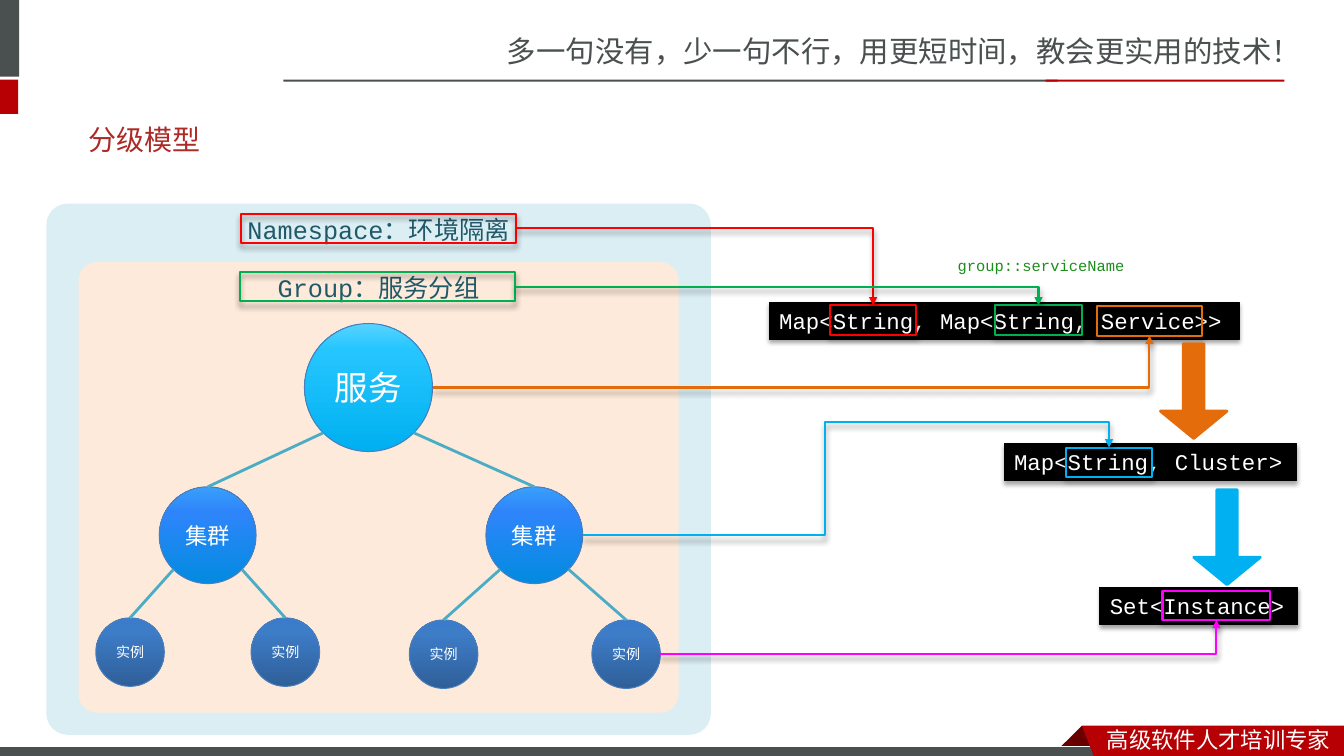
from dataclasses import dataclass
from math import sqrt

from lxml import etree
from pptx import Presentation
from pptx.dml.color import RGBColor
from pptx.enum.shapes import MSO_CONNECTOR, MSO_SHAPE
from pptx.enum.text import MSO_ANCHOR, PP_ALIGN
from pptx.oxml import parse_xml
from pptx.oxml.ns import nsdecls, qn
from pptx.util import Inches, Pt

RECTANGLE, ROUNDED = MSO_SHAPE.RECTANGLE, MSO_SHAPE.ROUNDED_RECTANGLE
OVAL, DOWN_ARROW = MSO_SHAPE.OVAL, MSO_SHAPE.DOWN_ARROW
STRAIGHT, ELBOW = MSO_CONNECTOR.STRAIGHT, MSO_CONNECTOR.ELBOW
TOP, MIDDLE = MSO_ANCHOR.TOP, MSO_ANCHOR.MIDDLE
LEFT, CENTER = PP_ALIGN.LEFT, PP_ALIGN.CENTER

WHITE, BLACK = RGBColor(0xFF, 0xFF, 0xFF), RGBColor(0, 0, 0)
GREY, DARK_RED = RGBColor(0x49, 0x50, 0x4F), RGBColor(0xB6, 0, 0x04)
FOLD_RED, TITLE_RED = RGBColor(0x68, 0, 0), RGBColor(0xAD, 0x2A, 0x26)
PALE_BLUE, PALE_ORANGE = RGBColor(0xDB, 0xEE, 0xF4), RGBColor(0xFD, 0xEA, 0xDA)
TEAL, BRANCH = RGBColor(0x21, 0x59, 0x68), RGBColor(0x4B, 0xAC, 0xC6)
RIM, NOTE_GREEN = RGBColor(0x4B, 0x7E, 0xBC), RGBColor(0x1C, 0x8E, 0x1C)
RED, GREEN = RGBColor(0xFF, 0, 0), RGBColor(0, 0xB0, 0x50)
ORANGE, SKY = RGBColor(0xE4, 0x6C, 0x0A), RGBColor(0, 0xB0, 0xF0)
MAGENTA = RGBColor(0xFF, 0, 0xFF)

CHINESE, LABEL, CODE = "Noto Sans CJK SC", "Noto Sans CJK JP", "Courier New"
DEEP_SHADOW, SOFT_SHADOW = (40, 4, 3), (35, 3.1, 1.8)


@dataclass(frozen=True)
class Box:
    left: float
    top: float
    width: float
    height: float

    @property
    def center(self):
        return self.left + self.width / 2

    @property
    def middle(self):
        return self.top + self.height / 2

    @property
    def right(self):
        return self.left + self.width

    @property
    def bottom(self):
        return self.top + self.height

    def lengths(self):
        return [Inches(v) for v in (self.left, self.top, self.width, self.height)]


@dataclass(frozen=True)
class Level:
    text: str
    diameter: float
    size: int
    stops: tuple


@dataclass(frozen=True)
class Link:
    source: Box
    target: Box
    color: RGBColor
    from_below: bool = False
    bends: tuple = ()


SERVICE = Level("服务", 1.27, 24, ((0, "00B0F0"), (80, "25C6FF"), (100, "57D3FF")))
CLUSTER = Level("集群", 0.96, 16, ((0, "028BE0"), (74, "2E85FA"), (99, "389EFA")))
INSTANCE = Level("实例", 0.68, 10, ((0, "2F5F99"), (80, "3D7CC7"), (100, "3A7CCB")))

presentation = Presentation()
presentation.slide_width, presentation.slide_height = Inches(13.33), Inches(7.5)
slide = presentation.slides.add_slide(presentation.slide_layouts[6])
shapes = slide.shapes


def write(shape, text: str, size: float, font: str, color: RGBColor,
          align=LEFT, anchor=TOP, wrap: bool = True) -> None:
    frame = shape.text_frame
    paragraph = frame.paragraphs[0]
    run = paragraph.add_run()
    formats = {frame: {"word_wrap": wrap, "vertical_anchor": anchor},
               paragraph: {"alignment": align},
               run: {"text": text},
               run.font: {"size": Pt(size), "name": font}}
    for item, values in formats.items():
        for name, value in values.items():
            setattr(item, name, value)
    run.font.color.rgb = color
    east_asian = etree.SubElement(run.font._element, qn("a:ea"))
    east_asian.set("typeface", font if font in (CHINESE, LABEL) else CHINESE)


def text_box(box: Box, *args, **options) -> None:
    write(shapes.add_textbox(*box.lengths()), *args, **options)


def paint(shape, fill: RGBColor | None, line: RGBColor | None, width: float) -> None:
    shape.shadow.inherit = False
    if fill is None:
        shape.fill.background()
    else:
        shape.fill.solid()
        shape.fill.fore_color.rgb = fill
    if line is None:
        shape.line.fill.background()
    else:
        shape.line.color.rgb = line
        shape.line.width = Pt(width)


def draw(kind, box: Box, fill=None, line=None, width: float = 0.75, adjust=()):
    shape = shapes.add_shape(kind, *box.lengths())
    paint(shape, fill, line, width)
    for index, value in enumerate(adjust):
        shape.adjustments[index] = value
    return shape


def polygon(points: list, fill: RGBColor) -> None:
    corners = [(Inches(x), Inches(y)) for x, y in points]
    builder = shapes.build_freeform(*corners[0])
    builder.add_line_segments(corners[1:], close=True)
    paint(builder.convert_to_shape(), fill, None, 0)


def effects(shape, shadow: tuple | None = None) -> None:
    properties = shape._element.spPr
    for old in properties.findall(qn("a:effectLst")):
        properties.remove(old)
    listing = etree.SubElement(properties, qn("a:effectLst"))
    if shadow:
        alpha, blur, distance = shadow
        listing.append(parse_xml(
            f'<a:outerShdw {nsdecls("a")} blurRad="{Pt(blur)}" dist="{Pt(distance)}" '
            f'dir="5400000" rotWithShape="0"><a:srgbClr val="000000">'
            f'<a:alpha val="{alpha * 1000}"/></a:srgbClr></a:outerShdw>'))


def connect(kind, start: tuple, end: tuple, color: RGBColor, width: float):
    connector = shapes.add_connector(kind, *[Inches(v) for v in start + end])
    connector.line.color.rgb = color
    connector.line.width = Pt(width)
    return connector


def node(level: Level, left: float, top: float):
    box = Box(left, top, level.diameter, level.diameter)
    shape = draw(OVAL, box, WHITE, RIM)
    stops = "".join(f'<a:gs pos="{position * 1000}"><a:srgbClr val="{color}"/></a:gs>'
                    for position, color in level.stops)
    properties = shape._element.spPr
    properties.replace(properties.find(qn("a:solidFill")), parse_xml(
        f'<a:gradFill {nsdecls("a")} rotWithShape="1"><a:gsLst>{stops}</a:gsLst>'
        '<a:lin ang="16200000" scaled="0"/></a:gradFill>'))
    write(shape, level.text, level.size, LABEL, WHITE, CENTER, MIDDLE, wrap=False)
    return box, shape


def branch(parent: Box, child) -> None:
    child_box, child_shape = child
    reach = parent.width / 2 / sqrt(2)
    side = 1 if child_box.center > parent.center else -1
    start = (parent.center + side * reach, parent.middle + reach)
    connector = connect(STRAIGHT, start, (child_box.center, child_box.top), BRANCH, 2)
    connector.end_connect(child_shape, 0)
    effects(connector)


def elbow(link: Link) -> None:
    end = (link.target.center, link.target.bottom if link.from_below else link.target.top)
    connector = connect(ELBOW, (link.source.right, link.source.middle), end, link.color, 1.5)
    geometry = connector._element.spPr.find(qn("a:prstGeom"))
    geometry.set("prst", "bentConnector4" if link.bends else "bentConnector2")
    guides = geometry.find(qn("a:avLst"))
    for index, value in enumerate(link.bends, 1):
        guide = etree.SubElement(guides, qn("a:gd"))
        guide.set("name", f"adj{index}")
        guide.set("fmla", f"val {round(value * 100000)}")
    etree.SubElement(connector.line._get_or_add_ln(), qn("a:tailEnd")).set("type", "triangle")
    effects(connector, DEEP_SHADOW)


text_box(Box(4.93, 0.28, 8.41, 0.47), "多一句没有，少一句不行，用更短时间，教会更实用的技术！",
         21, CHINESE, GREY)
for bar, color in ((Box(-0.06, 0, 0.25, 0.76), GREY), (Box(-0.06, 0.79, 0.24, 0.34), DARK_RED),
                   (Box(2.81, 0.79, 7.68, 0.02), GREY), (Box(10.37, 0.79, 2.37, 0.02), DARK_RED)):
    draw(RECTANGLE, bar, color)
polygon([(10.73, 7.2), (10.95, 7.42), (10.94, 7.43), (10.52, 7.43), (10.51, 7.42)], FOLD_RED)
draw(RECTANGLE, Box(-0.01, 7.41, 11, 0.12), GREY, WHITE)
polygon([(10.73, 7.2), (13.33, 7.2), (13.33, 7.54), (10.86, 7.53)], DARK_RED)
text_box(Box(10.88, 7.15, 2.45, 0.37), "高级软件人才培训专家", 16, CHINESE, WHITE)
text_box(Box(0.78, 1.16, 11.7, 0.44), "分级模型", 20, "Arial", TITLE_RED, anchor=MIDDLE)

for panel, color, caption in ((Box(0.46, 2.02, 6.59, 5.27), PALE_BLUE, "Namespace：环境隔离"),
                              (Box(0.78, 2.6, 5.95, 4.47), PALE_ORANGE, "Group：服务分组")):
    write(draw(ROUNDED, panel, color, adjust=(0.04,)), caption, 18, CODE, TEAL, CENTER)

service, _ = node(SERVICE, 3.02, 3.21)
for cluster_left, instance_top, instance_lefts in ((1.58, 6.13, (0.95, 2.49)),
                                                   (4.82, 6.15, (4.06, 5.87))):
    cluster, cluster_shape = node(CLUSTER, cluster_left, 4.83)
    branch(service, (cluster, cluster_shape))
    for instance_left in instance_lefts:
        instance, instance_shape = node(INSTANCE, instance_left, instance_top)
        branch(cluster, (instance, instance_shape))

for box, code in ((Box(7.63, 3, 4.66, 0.37), "Map<String, Map<String, Service>>"),
                  (Box(9.96, 4.4, 2.9, 0.37), "Map<String, Cluster>"),
                  (Box(10.91, 5.83, 1.96, 0.37), "Set<Instance>")):
    code_box = draw(RECTANGLE, box, BLACK, BLACK)
    effects(code_box, SOFT_SHADOW)
    write(code_box, code, 16, CODE, WHITE, wrap=False)

namespace_label, group_label = Box(2.39, 2.12, 2.73, 0.29), Box(2.38, 2.7, 2.73, 0.29)
links = (Link(namespace_label, Box(8.23, 3.03, 0.86, 0.29), RED),
         Link(group_label, Box(9.87, 3.03, 0.86, 0.29), GREEN),
         Link(service, Box(10.88, 3.04, 1.04, 0.29), ORANGE, True),
         Link(cluster, Box(10.57, 4.44, 0.86, 0.29), SKY, bends=(0.46, 1.29)),
         Link(instance, Box(11.53, 5.86, 1.07, 0.29), MAGENTA, True))
frames = [(link.target, link.color) for link in links]
for frame, color in frames + [(namespace_label, RED), (group_label, GREEN)]:
    effects(draw(RECTANGLE, frame, line=color, width=1.5), DEEP_SHADOW)
for link in links:
    elbow(link)

for arrow, color in ((Box(11.51, 3.41, 0.66, 0.94), ORANGE), (Box(11.84, 4.86, 0.66, 0.94), SKY)):
    draw(DOWN_ARROW, arrow, color, color, 2, (0.31, 0.41))
text_box(Box(9.4, 2.49, 1.87, 0.29), "group::serviceName", 11, CODE, NOTE_GREEN, wrap=False)

presentation.save("out.pptx")
